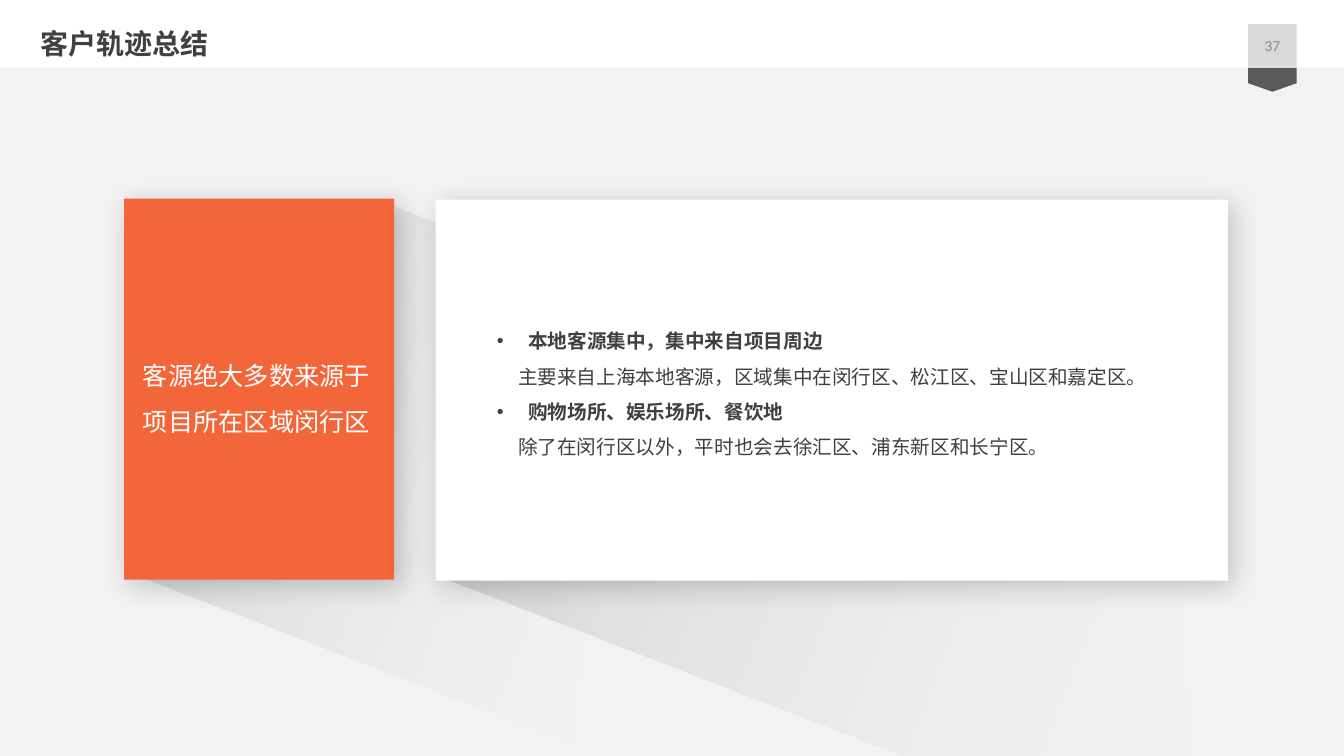
"""Build the customer track summary slide."""
from dataclasses import dataclass
from math import cos, radians, sin
from typing import Any

from lxml import etree
from pptx import Presentation, util as u
from pptx.dml import color
from pptx.enum import shapes, text
from pptx.oxml import ns

Box = tuple[float, float, float, float]
Spot = tuple[float, float]


@dataclass(frozen=True)
class Theme:
    """Colours, type sizes and fonts."""
    white: str = "FFFFFF"
    pale: str = "F2F2F2"
    light: str = "D9D9D9"
    mid: str = "8C8C8C"
    dark: str = "595959"
    ink: str = "404040"
    shade: str = "3B3838"
    black: str = "000000"
    accent: str = "F36639"
    head: int = 20
    claim: int = 18
    body: int = 14
    small: int = 11
    sans: str = "Calibri"
    han: str = "Noto Sans CJK SC"


T = Theme()


@dataclass(frozen=True)
class Panel:
    """A filled preset shape."""
    box: Box
    fill: str
    kind: Any = shapes.MSO_SHAPE.RECTANGLE
    turn: float = 0
    cast: bool = False


@dataclass(frozen=True)
class Ray:
    """A long fading shadow, outlined in slide inches."""
    mid: Spot
    spots: tuple[Spot, ...]


@dataclass(frozen=True)
class Line:
    """A paragraph with its bullet and indents."""
    words: str
    bold: bool = False
    left: float = 0
    hang: float = 0
    level: int = 0


@dataclass(frozen=True)
class Note:
    """A text box and its format."""
    box: Box
    lines: tuple[Line, ...]
    size: int
    tint: str
    face: str = T.han
    space: float = 1
    frame: tuple[tuple[str, Any], ...] = (("auto_size", text.MSO_AUTO_SIZE.SHAPE_TO_FIT_TEXT),)
    align: Any = None


PAGE: Box = (12.38, 0.24, 0.48, 0.42)
BASE = (
    Panel((0, 0, 13.33, 7.5), T.pale),
    Panel((12.5, 0.55, 0.24, 0.48), T.dark, shapes.MSO_SHAPE.PENTAGON, 90),
    Panel((0, 0, 13.33, 0.67), T.white),
    Panel(PAGE, T.light),
)
RAYS = (
    Ray((8.9, 5.16), ((5.76, 2.01), (7.56, 2.32), (11.56, 3.87), (11.9, 8.65), (4.33, 5.71))),
    Ray((4.3, 4.53), ((2.77, 2.01), (3.86, 2.04), (6.15, 2.93), (5.68, 7.4), (1.33, 5.71))),
)
CARDS = (
    Panel((1.23, 1.97, 2.68, 3.78), T.accent, cast=True),
    Panel((4.32, 1.98, 7.86, 3.78), T.white, cast=True),
)
POINTS = (
    ("本地客源集中，集中来自项目周边",
     "主要来自上海本地客源，区域集中在闵行区、松江区、宝山区和嘉定区。"),
    ("购物场所、娱乐场所、餐饮地",
     "除了在闵行区以外，平时也会去徐汇区、浦东新区和长宁区。"),
)
LIST = tuple(line for top, sub in POINTS for line in (
    Line(top, True, 0.81, -0.31, 1), Line(sub, left=0.71, level=1)))
NOTES = (
    Note((0.3, 0.21, 11.33, 0.44), (Line("客户轨迹总结", True),), T.head, T.ink),
    Note(PAGE, (Line("37"),), T.small, T.mid, T.sans,
         frame=(("vertical_anchor", text.MSO_ANCHOR.MIDDLE),), align=text.PP_ALIGN.CENTER),
    Note((1.32, 3.38, 2.66, 0.96), (Line("客源绝大多数来源于项目所在区域闵行区"),),
         T.claim, T.white, space=1.5),
    Note((4.33, 3.1, 7.58, 1.51), LIST, T.body, T.ink, space=1.5),
)
TURN = 291.2


def put(item: Any, vals: dict[str, Any]) -> None:
    """Set each format value on an object."""
    for name, val in vals.items():
        setattr(item, name, val)


def tag(root: Any, name: str, **vals: Any) -> Any:
    """Append a drawing element with attributes."""
    return etree.SubElement(root, ns.qn(name), {k: str(v) for k, v in vals.items()})


def rgb(tint: str) -> color.RGBColor:
    """Turn a hex string into a colour."""
    return color.RGBColor.from_string(tint)


def panel(slide: Any, item: Panel) -> None:
    """Draw a filled shape, with a soft shadow if asked."""
    shape = slide.shapes.add_shape(item.kind, *map(u.Inches, item.box))
    shape.fill.solid()
    shape.fill.fore_color.rgb = rgb(item.fill)
    shape.line.fill.background()
    shape.shadow.inherit = False
    shape.rotation = item.turn
    if item.kind == shapes.MSO_SHAPE.PENTAGON:
        shape.adjustments[0] = 0.35
    if item.cast:
        glow = shape._element.spPr.find(ns.qn("a:effectLst"))
        soft = tag(glow, "a:outerShdw", blurRad=u.Pt(20), dist=u.Pt(6),
                   dir=45 * 60000, algn="tl", rotWithShape=0)
        tag(tag(soft, "a:srgbClr", val=T.black), "a:alpha", val=20000)


def ray(slide: Any, item: Ray) -> None:
    """Draw a turned outline with a fading fill."""
    c, s = cos(radians(TURN)), sin(radians(TURN))
    x, y = item.mid
    spots = [(u.Inches(x + (a - x) * c + (b - y) * s),
              u.Inches(y + (b - y) * c - (a - x) * s)) for a, b in item.spots]
    pen = slide.shapes.build_freeform(*spots[0])
    pen.add_line_segments(spots[1:], close=True)
    shape = pen.convert_to_shape()
    shape.rotation = TURN
    shape.line.fill.background()
    shape.shadow.inherit = False
    shape.fill.gradient()
    shape.fill.gradient_angle = 270
    for stop, tint, at, clear in zip(shape.fill.gradient_stops,
                                     (T.shade, T.pale), (0, 1), (20000, 0)):
        put(stop, {"position": at})
        stop.color.rgb = rgb(tint)
        tag(stop._gs.find(ns.qn("a:srgbClr")), "a:alpha", val=clear)


def note(slide: Any, item: Note) -> None:
    """Draw a text box with its paragraphs."""
    frame = slide.shapes.add_textbox(*map(u.Inches, item.box)).text_frame
    put(frame, {"word_wrap": True, **dict(item.frame)})
    for i, line in enumerate(item.lines):
        para = frame.add_paragraph() if i else frame.paragraphs[0]
        put(para, {"level": line.level, "alignment": item.align, "line_spacing": item.space})
        prop = para._p.get_or_add_pPr()
        prop.set("marL", str(u.Inches(line.left)))
        prop.set("indent", str(u.Inches(line.hang)))
        if line.hang:
            tag(prop, "a:buFont", typeface="Arial")
            tag(prop, "a:buChar", char="•")
        run = para.add_run()
        run.text = line.words
        put(run.font, {"size": u.Pt(item.size), "bold": line.bold, "name": item.face})
        run.font.color.rgb = rgb(item.tint)
        tag(run._r.get_or_add_rPr(), "a:ea", typeface=item.face)


def main() -> None:
    """Build and save the slide."""
    deck = Presentation()
    put(deck, {"slide_width": u.Inches(13.33), "slide_height": u.Inches(7.5)})
    slide = deck.slides.add_slide(deck.slide_layouts[6])
    for draw, items in ((panel, BASE), (ray, RAYS), (panel, CARDS), (note, NOTES)):
        for item in items:
            draw(slide, item)
    deck.save("out.pptx")


if __name__ == "__main__":
    main()
